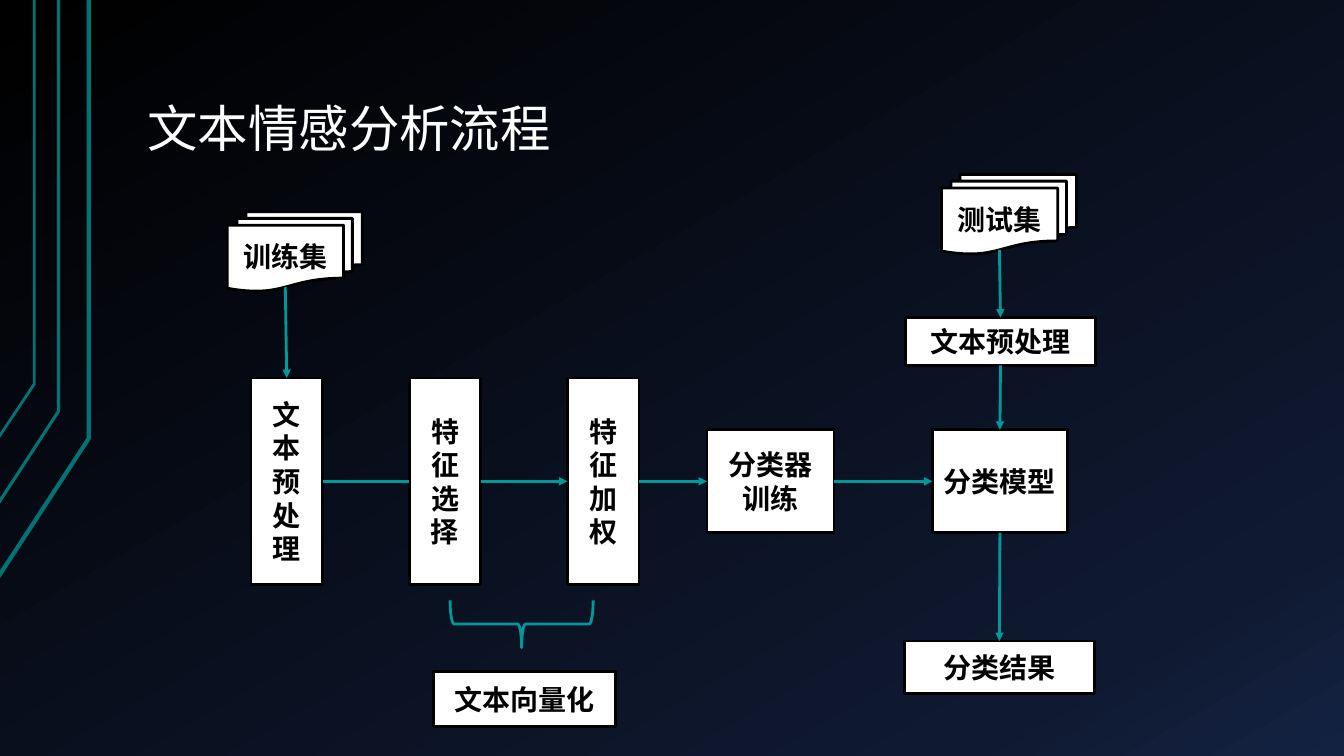
"""Build a slide showing the workflow of text sentiment analysis."""
from pptx import Presentation
from pptx.dml.color import RGBColor
from pptx.enum.shapes import MSO_CONNECTOR, MSO_SHAPE as SHAPE
from pptx.enum.text import MSO_ANCHOR as ANCHOR, PP_ALIGN as ALIGN
from pptx.oxml import parse_xml
from pptx.oxml.ns import nsdecls
from pptx.util import Pt
from lxml.etree import SubElement

FONT = "Noto Sans CJK SC"
TEAL, DARK_TEAL, WHITE, BLACK = "009999", "007373", "FFFFFF", "000000"
TOP, LEFT, BOTTOM, RIGHT = range(4)


def paint(target, color):
    if hasattr(target, "solid"):
        target.solid()
        target = target.fore_color
    else:
        target = target.color
    target.rgb = RGBColor.from_string(color)


def write(shape, text, size=20, color=BLACK, bold=True, align=ALIGN.CENTER,
          anchor=ANCHOR.MIDDLE, spacing=1.0):
    frame = shape.text_frame
    frame.text = text
    frame.word_wrap = True
    frame.vertical_anchor = anchor
    for paragraph in frame.paragraphs:
        paragraph.alignment = align
        paragraph.line_spacing = spacing
        for run in paragraph.runs:
            run.font.size, run.font.bold, run.font.name = Pt(size), bold, FONT
            paint(run.font.fill, color)
            SubElement(run.font._element, "{http://schemas.openxmlformats.org/drawingml/2006/main}ea",
                       typeface=FONT)


deck = Presentation()
deck.slide_width, deck.slide_height = Pt(960), Pt(540)
slide = deck.slides.add_slide(deck.slide_layouts[5])
shapes = slide.shapes

slide.background.fill.solid()
solid = slide.background._cSld.bg.bgPr[0]
stops = "".join(f'<a:gs pos="{position}000"><a:srgbClr val="{color}"/></a:gs>'
                for position, color in [(0, BLACK), (85, "0F1931"), (100, "142242")])
solid.getparent().replace(solid, parse_xml(
    f'<a:gradFill {nsdecls("a")} rotWithShape="1"><a:gsLst>{stops}</a:gsLst>'
    '<a:lin ang="3600000" scaled="0"/></a:gradFill>'))

for x, bend, end, width in [(63.4, 313.2, 411.8, 3), (41.8, 293.8, 359.3, 2.25),
                            (24.5, 274.3, 312.5, 2)]:
    builder = shapes.build_freeform(Pt(-1), Pt(end))
    builder.add_line_segments([(Pt(x), Pt(bend)), (Pt(x), 0)], close=False)
    stripe = builder.convert_to_shape()
    stripe.shadow.inherit = False
    stripe.fill.background()
    paint(stripe.line, DARK_TEAL)
    stripe.line.width = Pt(width)

title = shapes.title
title.left, title.top, title.width, title.height = Pt(96), Pt(21.6), Pt(816), Pt(96.5)
frame = title.text_frame
frame.margin_left = frame.margin_right = Pt(9.4)
frame.margin_top = frame.margin_bottom = Pt(5)
write(title, "文本情感分析流程", size=36, color=WHITE, bold=False,
      align=ALIGN.LEFT, anchor=ANCHOR.BOTTOM, spacing=0.9)

DOCUMENTS, PROCESS = SHAPE.FLOWCHART_MULTIDOCUMENT, SHAPE.FLOWCHART_PROCESS
steps = {}
for step, kind, text, x, y, width, height in [
    ("training set", DOCUMENTS, "训练集", 162.4, 151.2, 96.5, 56.9),
    ("preprocessing", PROCESS, "文本预处理", 179.3, 270, 51.1, 147.6),
    ("selection", PROCESS, "特征选择", 292.3, 270, 51.1, 147.6),
    ("weighting", PROCESS, "特征加权", 405.3, 270, 51.1, 147.6),
    ("vectorisation", PROCESS, "文本向量化", 309.6, 479.5, 130.3, 39.6),
    ("classifier", PROCESS, "分类器\n训练", 505, 307, 90.7, 73.6),
    ("test set", DOCUMENTS, "测试集", 672.5, 124.6, 96.5, 56.9),
    ("test preprocessing", PROCESS, "文本预处理", 646.6, 226.8, 136.1, 34.2),
    ("model", PROCESS, "分类模型", 666, 307, 96.5, 73.6),
    ("result", SHAPE.RECTANGLE, "分类结果", 645.8, 457.9, 136.1, 37.4),
]:
    box = shapes.add_shape(kind, Pt(x), Pt(y), Pt(width), Pt(height))
    box.shadow.inherit = False
    paint(box.fill, WHITE)
    paint(box.line, BLACK)
    box.line.width = Pt(2)
    write(box, text)
    steps[step] = box

brace = shapes.add_shape(SHAPE.LEFT_BRACE, Pt(355.7), Pt(394.6), Pt(33.8), Pt(102.2))
brace.rotation = 270
brace.shadow.inherit = False
brace.fill.background()
paint(brace.line, TEAL)
brace.line.width = Pt(2)

for source, exit_side, target, entry_side, arrow in [
    ("training set", BOTTOM, "preprocessing", TOP, True),
    ("preprocessing", RIGHT, "selection", LEFT, False),
    ("selection", RIGHT, "weighting", LEFT, True),
    ("weighting", RIGHT, "classifier", LEFT, True),
    ("classifier", RIGHT, "model", LEFT, True),
    ("test set", BOTTOM, "test preprocessing", TOP, True),
    ("test preprocessing", BOTTOM, "model", TOP, True),
    ("model", BOTTOM, "result", TOP, True),
]:
    link = shapes.add_connector(MSO_CONNECTOR.STRAIGHT, 0, 0, 0, 0)
    link.begin_connect(steps[source], exit_side)
    link.end_connect(steps[target], entry_side)
    if source.endswith("set"):
        link.begin_x = steps[source].left + Pt(41.4)
        link.begin_y = steps[source].top + Pt(54)
    paint(link.line, TEAL)
    link.line.width = Pt(2)
    if arrow:
        link.line._get_or_add_ln().append(
            parse_xml(f'<a:tailEnd {nsdecls("a")} type="triangle"/>'))
    link._element.spPr.append(parse_xml(f'<a:effectLst {nsdecls("a")}/>'))

deck.save("out.pptx")
